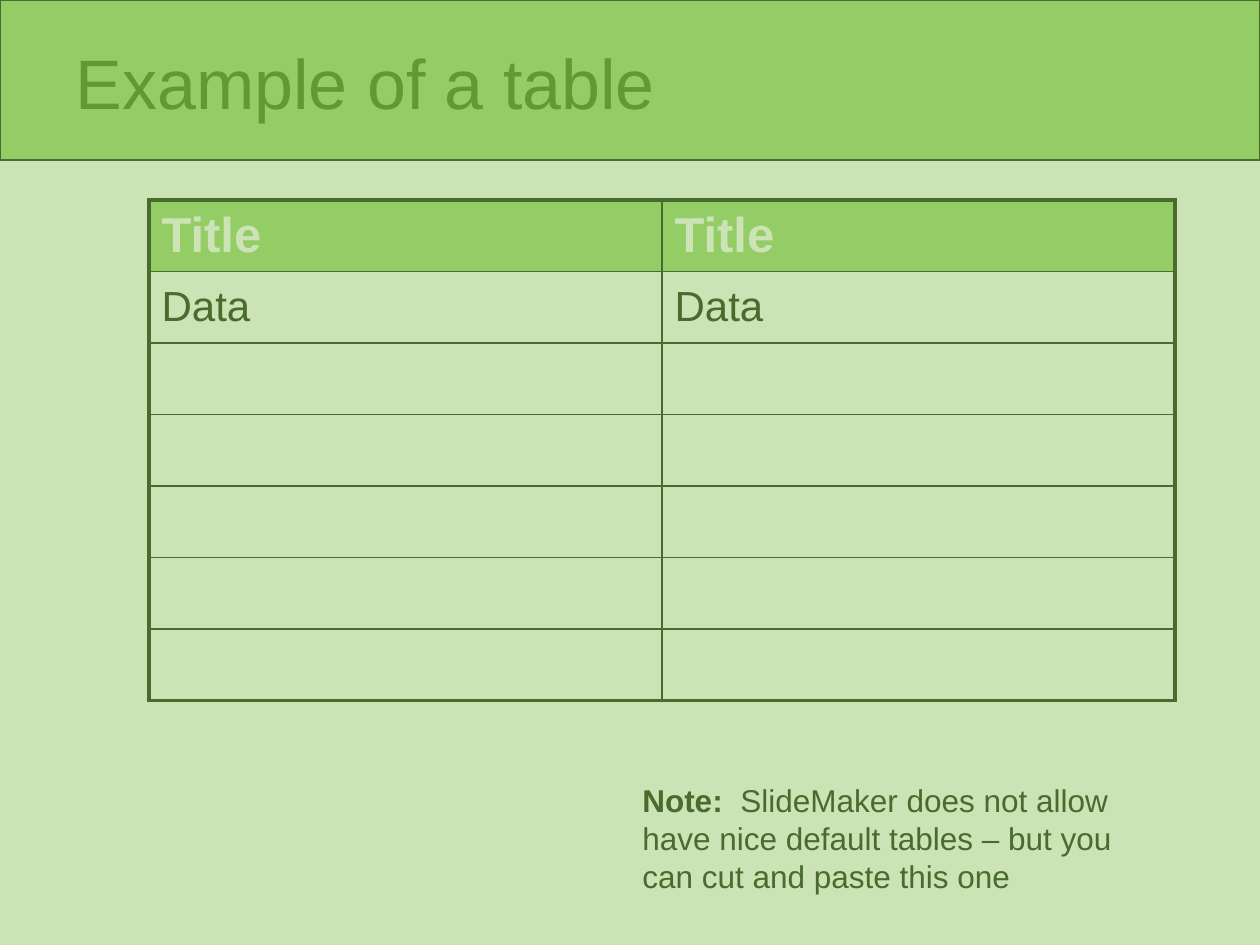
from lxml import etree
from pptx import Presentation
from pptx.dml.color import RGBColor
from pptx.enum.shapes import MSO_SHAPE
from pptx.enum.text import MSO_ANCHOR, MSO_AUTO_SIZE, PP_ALIGN
from pptx.oxml.ns import qn
from pptx.util import Emu, Pt

RECT = MSO_SHAPE.RECTANGLE
MIDDLE = MSO_ANCHOR.MIDDLE
GROW = MSO_AUTO_SIZE.SHAPE_TO_FIT_TEXT
LEFT = PP_ALIGN.LEFT

PALE = RGBColor(0xCC, 0xE3, 0xB5)
LIGHT = RGBColor(0x94, 0xCC, 0x66)
MEDIUM = RGBColor(0x61, 0x99, 0x33)
DARK = RGBColor(0x49, 0x6B, 0x2E)
FONT = "Arial"
THIN, THICK = 1, 2.25
ROWS, COLS = 7, 2
ROW_TEXTS = ["Title", "Data"]


def px(n):
    return Emu(round(n * 914400 / 126))


def box(*lengths):
    return [px(n) for n in lengths]


def style(r, size, color, bold=False):
    r.font.name = FONT
    r.font.size = Pt(size)
    r.font.color.rgb = color
    r.font.bold = bold


def add_band(s):
    sp = s.shapes.add_shape(RECT, *box(0, 0, 1260, 160))
    sp.shadow.inherit = False
    sp.fill.solid()
    sp.fill.fore_color.rgb = LIGHT
    sp.line.color.rgb = DARK
    sp.line.width = Pt(0.75)
    return sp


def set_title(s, text, band):
    sp = s.shapes.title
    band.element.addnext(sp.element)
    sp.left, sp.top, sp.width, sp.height = box(63, 27, 1118, 110)
    tf = sp.text_frame
    tf.text = text
    tf.vertical_anchor = MIDDLE
    p = tf.paragraphs[0]
    p.alignment = LEFT
    style(p.runs[0], 40, MEDIUM)


def set_borders(cell, row, col):
    outer = {"L": col == 0, "R": col == COLS - 1, "T": row == 0, "B": row == ROWS - 1}
    tcPr = cell._tc.get_or_add_tcPr()
    for side, is_outer in outer.items():
        width = Pt(THICK if is_outer else THIN)
        ln = etree.SubElement(tcPr, qn(f"a:ln{side}"), w=str(width))
        fill = etree.SubElement(ln, qn("a:solidFill"))
        etree.SubElement(fill, qn("a:srgbClr"), val=str(DARK))


def fill_cell(cell, row):
    header = row == 0
    cell.vertical_anchor = MIDDLE
    if header:
        cell.fill.solid()
        cell.fill.fore_color.rgb = LIGHT
    else:
        cell.fill.background()
    if row < len(ROW_TEXTS):
        cell.text_frame.text = ROW_TEXTS[row]
        r = cell.text_frame.paragraphs[0].runs[0]
        style(r, 28 if header else 24, PALE if header else DARK, header)


def add_grid(s):
    table = s.shapes.add_table(ROWS, COLS, *box(149, 200, 1026, 501)).table
    for row in range(ROWS):
        for col in range(COLS):
            cell = table.cell(row, col)
            set_borders(cell, row, col)
            fill_cell(cell, row)


def add_note(s, label, text):
    tf = s.shapes.add_textbox(*box(630, 775, 530, 126)).text_frame
    tf.word_wrap = True
    tf.auto_size = GROW
    p = tf.paragraphs[0]
    for part, bold in ((label, True), (text, False)):
        r = p.add_run()
        r.text = part
        style(r, 18, DARK, bold)


def main():
    prs = Presentation()
    prs.slide_width, prs.slide_height = box(1260, 945)
    s = prs.slides.add_slide(prs.slide_layouts[5])
    s.background.fill.solid()
    s.background.fill.fore_color.rgb = PALE
    band = add_band(s)
    set_title(s, "Example of a table", band)
    add_grid(s)
    add_note(s, "Note: ", " SlideMaker does not allow have nice default tables – but you can cut and paste this one")
    prs.save("out.pptx")


if __name__ == "__main__":
    main()
